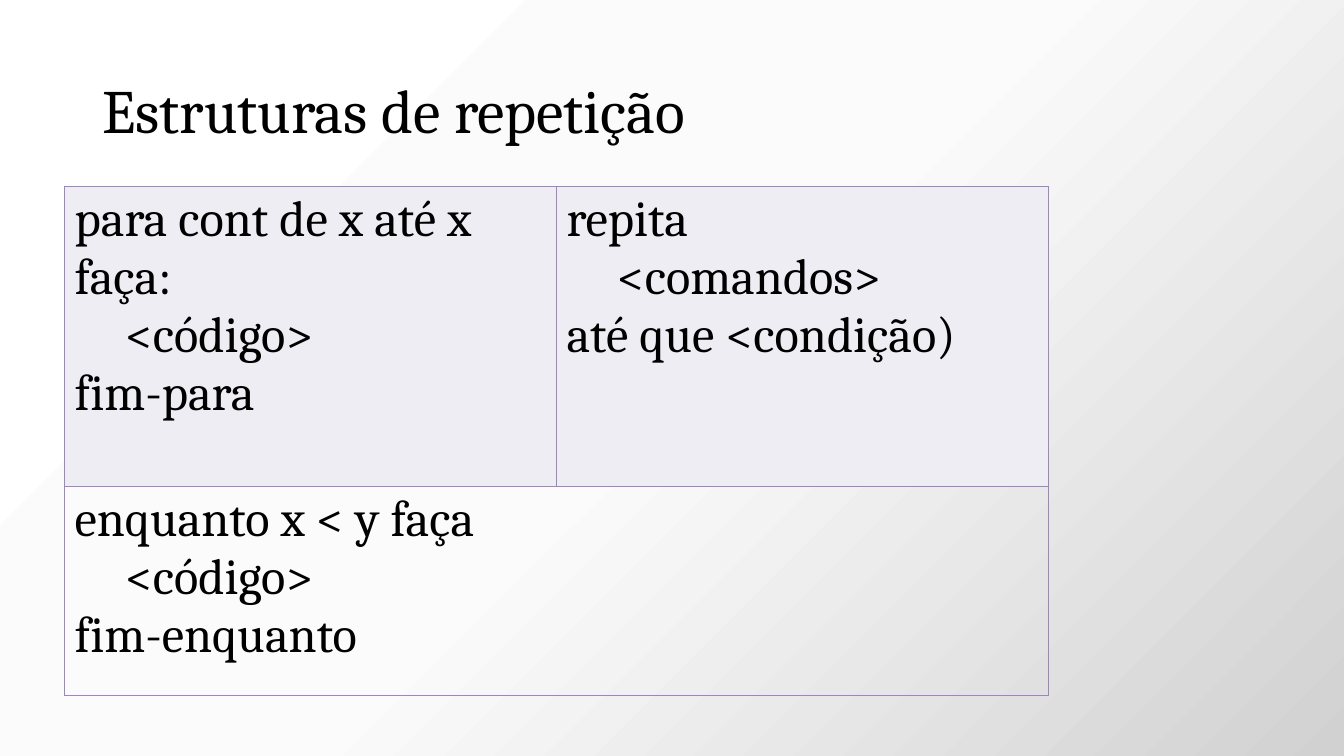
"""Build the slide on loop structures: a title above a table of three loops."""
import copy
import dataclasses
import typing

import lxml.etree
import pptx
import pptx.dml.color
import pptx.enum.text
import pptx.oxml.ns
import pptx.util

Pt = pptx.util.Pt
qn = pptx.oxml.ns.qn

COLOURS = {
    "text": "000000",
    "band": "EFEDF4",
    "border": "9C85C0",
    "light": "FFFFFF",
    "middle": "FBFBFB",
    "dark": "D1D1D1",
}
TITLE_FONT = {"name": "Cambria", "size": Pt(44)}
CODE_FONT = {"name": "Cambria", "size": Pt(36)}
GRADIENT = [(0, "light"), (0.5, "middle"), (1, "dark")]
COLUMN_WIDTHS = [351.4, 351.4]
ROW_HEIGHTS = [214.3, 149.3]


@dataclasses.dataclass
class Loop:
    row: int
    column: int
    lines: list[str]
    fill: str | None = None
    columns: int = 1


LOOPS = [
    Loop(0, 0, ["para cont de x até x faça:", "\t<código>", "fim-para"], "band"),
    Loop(0, 1, ["repita", "\t<comandos>", "até que <condição)"], "band"),
    Loop(1, 0, ["enquanto x < y faça", "\t<código>", "fim-enquanto"], columns=2),
]


def colour(name: str) -> pptx.dml.color.RGBColor:
    """Return the named colour."""
    return pptx.dml.color.RGBColor.from_string(COLOURS[name])


def apply(target: typing.Any, values: dict[str, typing.Any]) -> None:
    """Set each attribute in values on the target."""
    for name, value in values.items():
        setattr(target, name, value)


def write(frame: typing.Any, lines: list[str], font: dict[str, typing.Any]) -> None:
    """Write one paragraph for each line."""
    for index, line in enumerate(lines):
        para = frame.add_paragraph() if index else frame.paragraphs[0]
        span = para.add_run()
        span.text = line
        apply(span.font, font)
        span.font.color.rgb = colour("text")


def paint_background(page: typing.Any) -> None:
    """Fill the page with the diagonal gradient."""
    fill = page.background.fill
    fill.gradient()
    fill.gradient_angle = 315
    stop_list = page.element.find(".//" + qn("a:gsLst"))
    stop_list.append(copy.deepcopy(stop_list[-1]))
    for stop, (position, name) in zip(fill.gradient_stops, GRADIENT):
        stop.position = position
        stop.color.rgb = colour(name)


def add_title(page: typing.Any, text: str) -> None:
    """Add the title, centred vertically in its box."""
    box = page.shapes.add_textbox(Pt(66), Pt(28.8), Pt(828), Pt(104.4))
    frame = box.text_frame
    apply(frame, {"word_wrap": True,
                  "vertical_anchor": pptx.enum.text.MSO_ANCHOR.MIDDLE})
    write(frame, [text], TITLE_FONT)
    frame.paragraphs[0].line_spacing = 0.9


def draw_borders(cell: typing.Any) -> None:
    """Draw a thin line on all four sides of a cell."""
    properties = cell._tc.get_or_add_tcPr()
    for index, side in enumerate(["lnL", "lnR", "lnT", "lnB"]):
        line = lxml.etree.Element(qn("a:" + side), w=str(Pt(1)))
        fill = lxml.etree.SubElement(line, qn("a:solidFill"))
        lxml.etree.SubElement(fill, qn("a:srgbClr"), val=COLOURS["border"])
        properties.insert(index, line)


def fill_cell(table: typing.Any, loop: Loop) -> None:
    """Write one loop into its cell, merging columns where it spans them."""
    cell = table.cell(loop.row, loop.column)
    if loop.columns > 1:
        cell.merge(table.cell(loop.row, loop.column + loop.columns - 1))
    write(cell.text_frame, loop.lines, CODE_FONT)
    if loop.fill:
        cell.fill.solid()
        cell.fill.fore_color.rgb = colour(loop.fill)


def add_loop_table(page: typing.Any) -> None:
    """Add the table of loops."""
    table = page.shapes.add_table(
        len(ROW_HEIGHTS), len(COLUMN_WIDTHS), Pt(46.1), Pt(133.2),
        Pt(sum(COLUMN_WIDTHS)), Pt(sum(ROW_HEIGHTS))).table
    apply(table, {"first_row": False, "horz_banding": False})
    for column, width in zip(table.columns, COLUMN_WIDTHS):
        column.width = Pt(width)
    for row, height in zip(table.rows, ROW_HEIGHTS):
        row.height = Pt(height)
    for cell in table.iter_cells():
        cell.fill.background()
        draw_borders(cell)
    for loop in LOOPS:
        fill_cell(table, loop)


def main() -> None:
    """Build and save the deck."""
    deck = pptx.Presentation()
    apply(deck, {"slide_width": Pt(960), "slide_height": Pt(540)})
    page = deck.slides.add_slide(deck.slide_layouts[6])
    paint_background(page)
    add_title(page, "Estruturas de repetição")
    add_loop_table(page)
    deck.save("out.pptx")


main()
